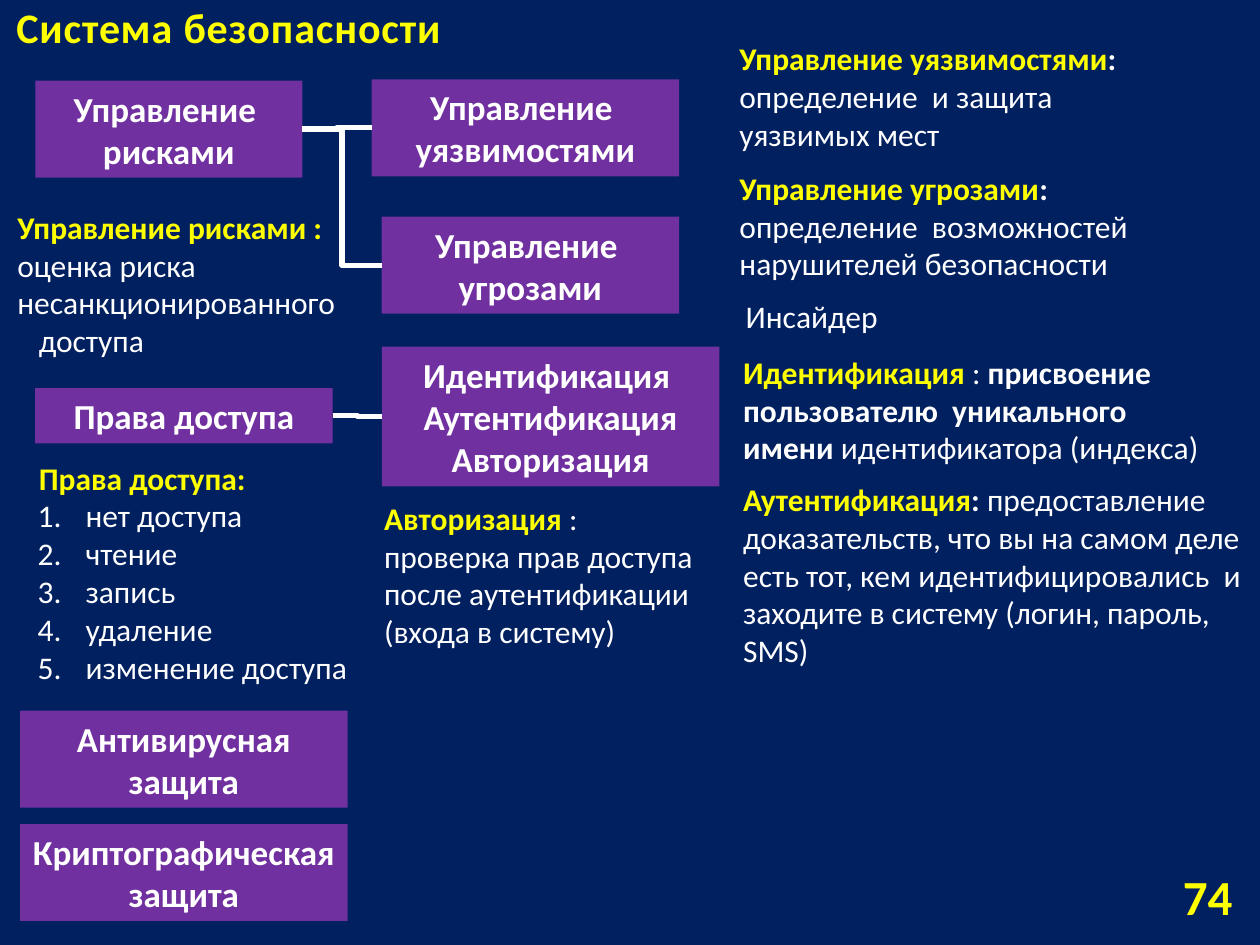
from dataclasses import dataclass
from lxml.etree import SubElement
from pptx import Presentation
from pptx.dml.color import RGBColor
from pptx.enum.shapes import MSO_CONNECTOR, MSO_SHAPE
from pptx.enum.text import MSO_ANCHOR, MSO_AUTO_SIZE, PP_ALIGN
from pptx.oxml.ns import qn
from pptx.util import Inches, Pt


@dataclass(frozen=True)
class Theme:
    font: str = "Calibri"
    background: RGBColor = RGBColor(0x00, 0x20, 0x60)
    box: RGBColor = RGBColor(0x70, 0x30, 0xA0)
    accent: RGBColor = RGBColor(0xFF, 0xFF, 0x00)
    text: RGBColor = RGBColor(0xFF, 0xFF, 0xFF)
    title_size: Pt = Pt(24)
    box_size: Pt = Pt(20)
    note_size: Pt = Pt(18)
    number_size: Pt = Pt(28)
    line_width: Pt = Pt(3)


theme = Theme()
TERM, STRONG, PLAIN = (theme.accent, True), (theme.text, True), (theme.text, False)


def style_run(r, size, style):
    r.font.name = theme.font
    r.font.size = size
    r.font.color.rgb, r.font.bold = style


def add_text(bounds, paragraphs, size=theme.note_size):
    sp = s.shapes.add_textbox(*map(Inches, bounds))
    tf = sp.text_frame
    tf.word_wrap = True
    for i, runs in enumerate(paragraphs):
        p = tf.paragraphs[0] if i == 0 else tf.add_paragraph()
        for text, style in runs:
            r = p.add_run()
            r.text = text
            style_run(r, size, style)
    return tf


prs = Presentation()
prs.slide_width, prs.slide_height = Inches(10), Inches(7.5)
s = prs.slides.add_slide(prs.slide_layouts[5])
s.background.fill.solid()
s.background.fill.fore_color.rgb = theme.background

title = s.shapes.title
title.left, title.top, title.width, title.height = map(Inches, (0.03, 0, 3.79, 0.46))
tf = title.text_frame
tf.text = "Система безопасности"
tf.auto_size = MSO_AUTO_SIZE.NONE
tf.vertical_anchor = MSO_ANCHOR.BOTTOM
p = tf.paragraphs[0]
p.alignment = PP_ALIGN.LEFT
style_run(p.runs[0], theme.title_size, TERM)
p.runs[0].font._element.set("spc", "50")

tf = add_text((8.7, 6.91, 1.18, 0.4), [[("74", TERM)]], theme.number_size)
tf.vertical_anchor = MSO_ANCHOR.MIDDLE
tf.paragraphs[0].alignment = PP_ALIGN.RIGHT

boxes = {}
for name, bounds, text in [
    ("risks", (0.28, 0.64, 2.12, 0.77), "Управление \nрисками"),
    ("vulnerabilities", (2.95, 0.63, 2.44, 0.77), "Управление \nуязвимостями"),
    ("threats", (3.03, 1.72, 2.36, 0.77), "Управление \nугрозами"),
    ("rights", (0.28, 3.08, 2.36, 0.44), "Права доступа"),
    ("identity", (3.03, 2.75, 2.68, 1.11), "Идентификация \nАутентификация\nАвторизация"),
    ("cryptography", (0.16, 6.54, 2.6, 0.77), "Криптографическая защита"),
    ("antivirus", (0.16, 5.64, 2.6, 0.77), "Антивирусная\nзащита"),
]:
    sp = s.shapes.add_shape(MSO_SHAPE.RECTANGLE, *map(Inches, bounds))
    sp.shadow.inherit = False
    sp.fill.solid()
    sp.fill.fore_color.rgb = theme.box
    sp.line.fill.background()
    tf = sp.text_frame
    tf.word_wrap = True
    tf.text = text
    for p in tf.paragraphs:
        p.alignment = PP_ALIGN.CENTER
        style_run(p.runs[0], theme.box_size, STRONG)
    boxes[name] = sp

for bounds, runs in [
    ((5.8, 2.75, 3.86, 1.01), [
        ("Идентификация ", TERM), (": ", PLAIN),
        ("присвоение пользователю  уникального имени", STRONG),
        (" идентификатора (индекса)", PLAIN)]),
    ((5.8, 3.76, 4.23, 1.62), [
        ("Аутентификация", TERM), (": ", STRONG),
        ("предоставление доказательств, что вы на самом деле есть тот, кем "
         "идентифицировались  и заходите в систему (логин, пароль, SMS)", PLAIN)]),
    ((5.77, 1.29, 3.52, 1.01), [
        ("Управление угрозами", TERM), (": ", STRONG),
        ("определение  возможностей нарушителей безопасности", PLAIN)]),
    ((5.77, 0.26, 3.83, 1.01), [
        ("Управление уязвимостями", TERM), (": ", STRONG),
        ("определение  и защита  уязвимых мест", PLAIN)]),
    ((2.95, 3.91, 2.76, 1.31), [
        ("Авторизация", TERM),
        (" : проверка прав доступа после аутентификации (входа в систему)", PLAIN)]),
    ((5.82, 2.31, 1.26, 0.4), [("Инсайдер", PLAIN)]),
]:
    add_text(bounds, [runs])

tf = add_text((0.04, 1.6, 2.83, 1.31), [
    [("Управление рисками : ", TERM), ("оценка риска несанкционированного", PLAIN)],
    [("доступа", PLAIN)],
])
tf.paragraphs[1]._p.get_or_add_pPr().set("marL", str(Inches(0.17)))

rights = ["нет доступа", "чтение", "запись", "удаление", "изменение доступа"]
tf = add_text((0.19, 3.59, 2.92, 1.92),
              [[("Права доступа:", TERM)]] + [[(right, PLAIN)] for right in rights])
tf.paragraphs[0]._p.get_or_add_pPr().set("marL", str(Inches(0.02)))
for p in tf.paragraphs[1:]:
    pPr = p._p.get_or_add_pPr()
    pPr.set("marL", str(Inches(0.39)))
    pPr.set("indent", str(Inches(-0.38)))
    SubElement(pPr, qn("a:buFont")).set("typeface", "+mj-lt")
    SubElement(pPr, qn("a:buAutoNum")).set("type", "arabicPeriod")

RIGHT_SITE, LEFT_SITE = 3, 1
for source, target in [
    ("risks", "vulnerabilities"), ("rights", "identity"), ("risks", "threats"),
]:
    line = s.shapes.add_connector(MSO_CONNECTOR.ELBOW, 0, 0, 0, 0)
    line.begin_connect(boxes[source], RIGHT_SITE)
    line.end_connect(boxes[target], LEFT_SITE)
    line.line.color.rgb = theme.text
    line.line.width = theme.line_width
    SubElement(line._element.spPr, qn("a:effectLst"))

prs.save("out.pptx")
